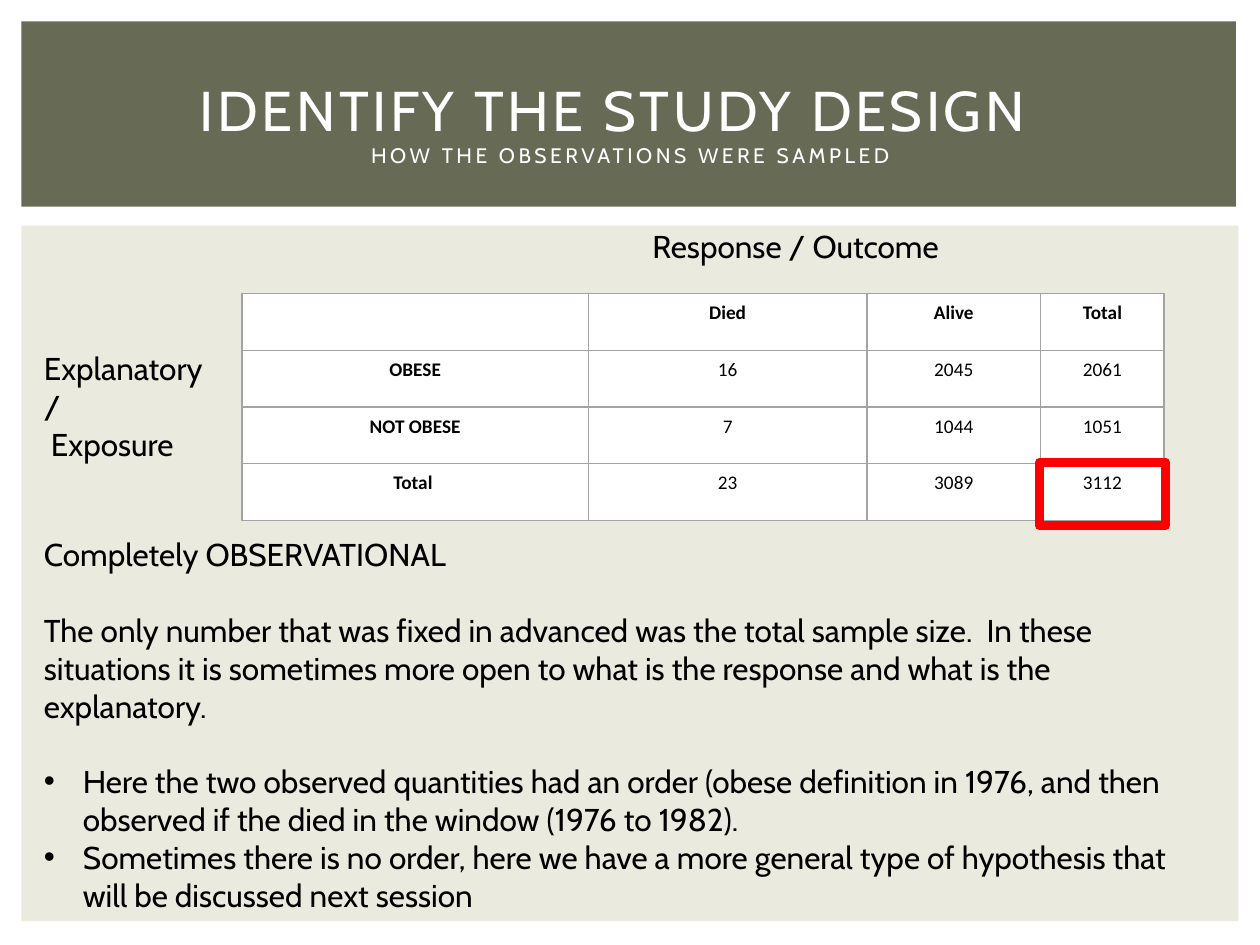
from dataclasses import dataclass
from lxml import etree
from pptx import Presentation, util as u
from pptx.dml.color import RGBColor as Rgb
from pptx.enum import shapes, text
from pptx.oxml import ns

Inches, Pt = u.Inches, u.Pt


@dataclass
class Theme:
    font: str = "Cabin"
    grid_font: str = "Calibri"
    band: str = "676A55"
    panel: str = "EAEBDE"
    white: str = "FFFFFF"
    ink: str = "000000"
    rule: str = "A3A3A3"
    mark: str = "FF0000"
    head: int = 32
    sub: int = 12
    body: int = 18
    cell: int = 11


theme = Theme()


def add_run(para, words, size, font=theme.font, color=theme.ink, bold=False):
    run = para.add_run()
    run.text = words
    run.font.size = Pt(size)
    run.font.name = font
    run.font.bold = bold
    run.font.color.rgb = Rgb.from_string(color)
    return run


def add_node(parent, tag, **attrs):
    return etree.SubElement(parent, ns.qn(tag), attrs)


deck = Presentation()
deck.slide_width, deck.slide_height = Inches(10), Inches(7.5)
slide = deck.slides.add_slide(deck.slide_layouts[5])
title = slide.shapes.title

for color, box in (
    (theme.panel, (0.17, 1.79, 9.66, 5.52)),
    (theme.band, (0.17, 0.17, 9.64, 1.47)),
):
    rect = slide.shapes.add_shape(shapes.MSO_SHAPE.RECTANGLE, *map(Inches, box))
    rect.shadow.inherit = False
    rect.fill.solid()
    rect.fill.fore_color.rgb = Rgb.from_string(color)
    rect.line.fill.background()
    title.element.addprevious(rect.element)

title.left, title.top = Inches(0.42), Inches(0.39)
title.width, title.height = Inches(9.17), Inches(1.15)
frame = title.text_frame
frame.word_wrap = True
frame.auto_size = text.MSO_AUTO_SIZE.NONE
frame.vertical_anchor = text.MSO_ANCHOR.MIDDLE
para = frame.paragraphs[0]
para.alignment = text.PP_ALIGN.CENTER
head = add_run(para, "IDENTIFY THE STUDY DESIGN  ", theme.head, color=theme.white)
para.add_line_break()
sub = add_run(para, "HOW THE OBSERVATIONS WERE SAMPLED", theme.sub, color=theme.white)
for run in (head, sub):
    run.font._element.set("spc", "200")

rows = [
    ["", "Died", "Alive", "Total"],
    ["OBESE", "16", "2045", "2061"],
    ["NOT OBESE", "7", "1044", "1051"],
    ["Total ", "23", "3089", "3112"],
]
widths = [2.75, 2.21, 1.38, 0.98]
tall = 0.45
grid = slide.shapes.add_table(
    len(rows), len(widths), Inches(1.92), Inches(2.33),
    Inches(sum(widths)), Inches(tall * len(rows))).table
grid.first_row = grid.horz_banding = False
for col, width in zip(grid.columns, widths):
    col.width = Inches(width)
for r, row in enumerate(rows):
    grid.rows[r].height = Inches(tall)
    for c, words in enumerate(row):
        cell = grid.cell(r, c)
        cell.margin_left = cell.margin_right = Inches(0.06)
        cell.margin_top = cell.margin_bottom = Inches(0.06)
        props = cell._tc.get_or_add_tcPr()
        for side in ("a:lnL", "a:lnR", "a:lnT", "a:lnB"):
            edge = add_node(props, side, w=str(Pt(1)))
            add_node(add_node(edge, "a:solidFill"), "a:srgbClr", val=theme.rule)
        cell.fill.solid()
        cell.fill.fore_color.rgb = Rgb.from_string(theme.white)
        if words:
            para = cell.text_frame.paragraphs[0]
            para.alignment = text.PP_ALIGN.CENTER
            add_run(para, words, theme.cell, theme.grid_font, bold=r == 0 or c == 0)

mark = slide.shapes.add_shape(
    shapes.MSO_SHAPE.RECTANGLE, Inches(8.25), Inches(3.67), Inches(1), Inches(0.5))
mark.shadow.inherit = False
mark.fill.background()
mark.line.color.rgb = Rgb.from_string(theme.mark)
mark.line.width = Pt(5.5)

gap = 21.6
notes = [
    ((5.08, 1.75, 3.08, 0.4), [("Response / Outcome", 0, False)]),
    ((0.25, 2.72, 1.54, 1.01), [("Explanatory/", 0, False), (" Exposure", 0, False)]),
    ((0.25, 4.2, 9.33, 3.43), [
        ("Completely OBSERVATIONAL", 0, False),
        ("The only number that was fixed in advanced was the total sample size.  "
         "In these situations it is sometimes more open to what is the response "
         "and what is the explanatory.", gap, False),
        ("Here the two observed quantities had an order (obese definition in 1976, "
         "and then observed if the died in the window (1976 to 1982).", gap, True),
        ("Sometimes there is no order, here we have a more general type of "
         "hypothesis that will be discussed next session", 0, True),
    ]),
]
for box, paras in notes:
    frame = slide.shapes.add_textbox(*map(Inches, box)).text_frame
    frame.word_wrap = True
    for i, (words, space, dot) in enumerate(paras):
        para = frame.add_paragraph() if i else frame.paragraphs[0]
        para.space_before = Pt(space)
        add_run(para, words, theme.body)
        if dot:
            props = para._p.get_or_add_pPr()
            props.set("marL", str(Inches(0.31)))
            props.set("indent", str(Inches(-0.31)))
            add_node(props, "a:buFont", typeface="Arial")
            add_node(props, "a:buChar", char="•")

deck.save("out.pptx")
